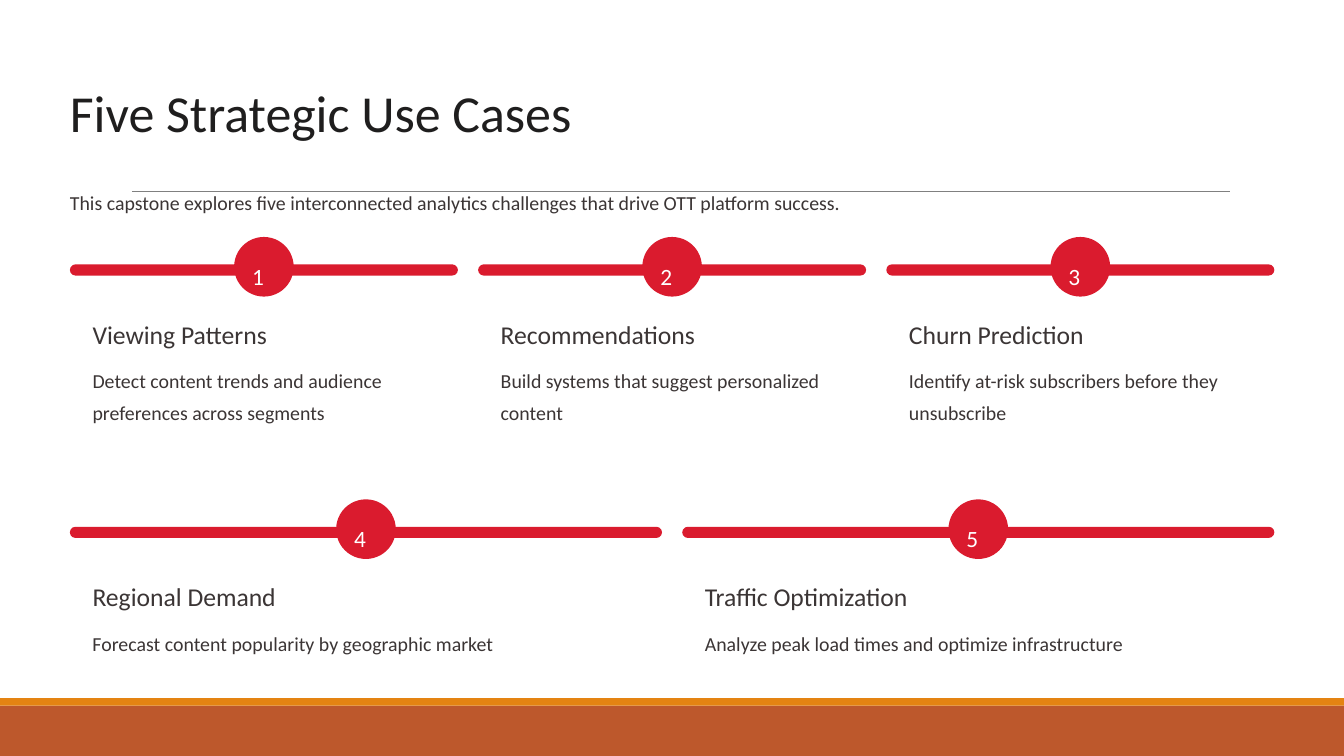
import pptx
import pptx.dml.color
import pptx.enum.shapes
import pptx.util
from lxml import etree

Pt = pptx.util.Pt
RGBColor = pptx.dml.color.RGBColor
SHAPE = pptx.enum.shapes.MSO_SHAPE

WHITE = RGBColor(0xFF, 0xFF, 0xFF)
RED = RGBColor(0xDA, 0x1B, 0x2E)
RUST = RGBColor(0xBD, 0x58, 0x2C)
ORANGE = RGBColor(0xE4, 0x83, 0x12)
GREY = RGBColor(0x80, 0x80, 0x80)
TITLE_INK = RGBColor(0x1F, 0x1E, 0x1E)
INK = RGBColor(0x3B, 0x35, 0x35)

LEFT, CONTENT_WIDTH, GAP = 59.9, 1032.4, 17.3
BAR_HEIGHT, BADGE, INSET, CARD_RADIUS = 9.6, 51.1, 19.4, 11.5

# Each row: top of the bars, card height, body height, use cases
ROWS = [
    (226.6, 182.2, 54, [
        ("Viewing Patterns", "Detect content trends and audience preferences across segments"),
        ("Recommendations", "Build systems that suggest personalized content"),
        ("Churn Prediction", "Identify at-risk subscribers before they unsubscribe"),
    ]),
    (451.5, 127.4, 27, [
        ("Regional Demand", "Forecast content popularity by geographic market"),
        ("Traffic Optimization", "Analyze peak load times and optimize infrastructure"),
    ]),
]


class UseCaseSlide:
    font = "Calibri"

    def __init__(self, deck):
        self.shapes = deck.slides.add_slide(deck.slide_layouts[6]).shapes

    def block(self, left, top, width, height, fill, radius=0):
        kind = SHAPE.ROUNDED_RECTANGLE if radius else SHAPE.RECTANGLE
        block = self.shapes.add_shape(kind, Pt(left), Pt(top), Pt(width), Pt(height))
        if radius:
            block.adjustments[0] = radius / min(width, height)
        block.shadow.inherit = False
        block.fill.solid()
        block.fill.fore_color.rgb = fill
        block.line.fill.background()

    def rule(self, left, right, y, color, weight):
        rule = self.shapes.add_connector(
            pptx.enum.shapes.MSO_CONNECTOR.STRAIGHT, Pt(left), Pt(y), Pt(right), Pt(y))
        rule.line.color.rgb = color
        rule.line.width = Pt(weight)
        etree.SubElement(rule._element.spPr, pptx.oxml.ns.qn("a:effectLst"))

    def text(self, left, top, width, height, words, size, spacing, color=INK):
        frame = self.shapes.add_textbox(Pt(left), Pt(top), Pt(width), Pt(height)).text_frame
        frame.margin_left = frame.margin_top = frame.margin_right = frame.margin_bottom = 0
        frame.word_wrap = True
        frame.text = words
        paragraph = frame.paragraphs[0]
        paragraph.line_spacing = Pt(spacing)
        font = paragraph.runs[0].font
        font.name, font.size = self.font, Pt(size)
        font.color.rgb = color

    def use_case(self, number, heading, body, left, top, width, card_height, body_height):
        badge_left = left + (width - BADGE) / 2
        self.block(left, top + 2.2, width, card_height, WHITE, CARD_RADIUS)
        self.block(left, top, width, BAR_HEIGHT, RED, BAR_HEIGHT / 2)
        self.block(badge_left, top - 23.5, BADGE, BADGE, RED, BADGE / 2)
        self.text(badge_left + 15.4, top - 10.8, 20.2, 26, str(number), 20, 32.5, WHITE)
        self.text(left + INSET, top + 44.8, 228, 28, heading, 22, 28)
        self.text(left + INSET, top + 83.2, width - 2 * INSET, body_height, body, 17, 27)


def main():
    deck = pptx.Presentation()
    deck.slide_width, deck.slide_height = Pt(1152), Pt(648)
    slide = UseCaseSlide(deck)

    # Footer bands and header rule
    slide.block(0, 604.8, 1152, 43.2, RUST)
    slide.block(0, 598.4, 1152, 6.4, ORANGE)
    slide.rule(113.1, 1054.5, 163.9, GREY, 0.5)

    # Title and introduction
    slide.text(LEFT, 66.2, 563, 56, "Five Strategic Use Cases", 44.5, 56, TITLE_INK)
    slide.text(LEFT, 157, CONTENT_WIDTH, 27,
               "This capstone explores five interconnected analytics challenges "
               "that drive OTT platform success.", 17, 27)

    # Numbered use cases, spread evenly over each row
    number = 1
    for top, card_height, body_height, cases in ROWS:
        width = (CONTENT_WIDTH - GAP * (len(cases) - 1)) / len(cases)
        for column, (heading, body) in enumerate(cases):
            left = LEFT + column * (width + GAP)
            slide.use_case(number, heading, body, left, top, width, card_height, body_height)
            number += 1

    deck.save("out.pptx")


if __name__ == "__main__":
    main()
